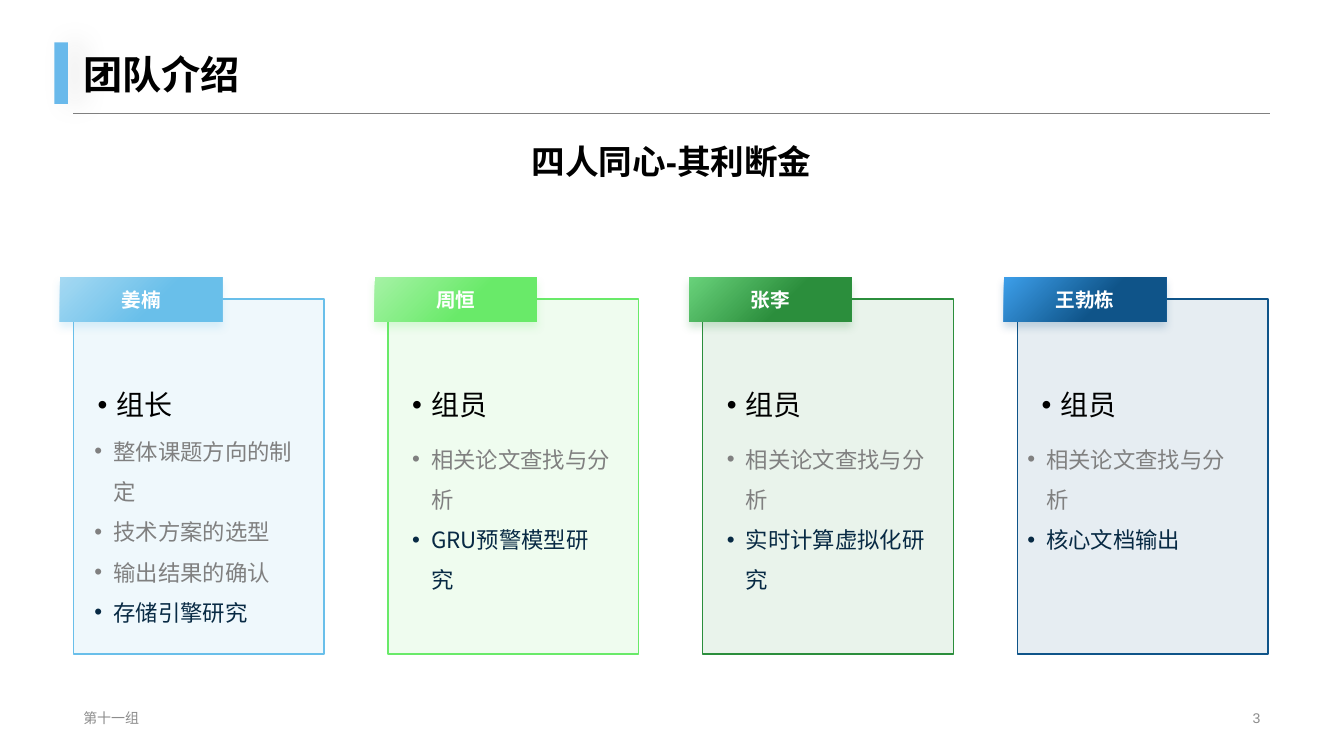
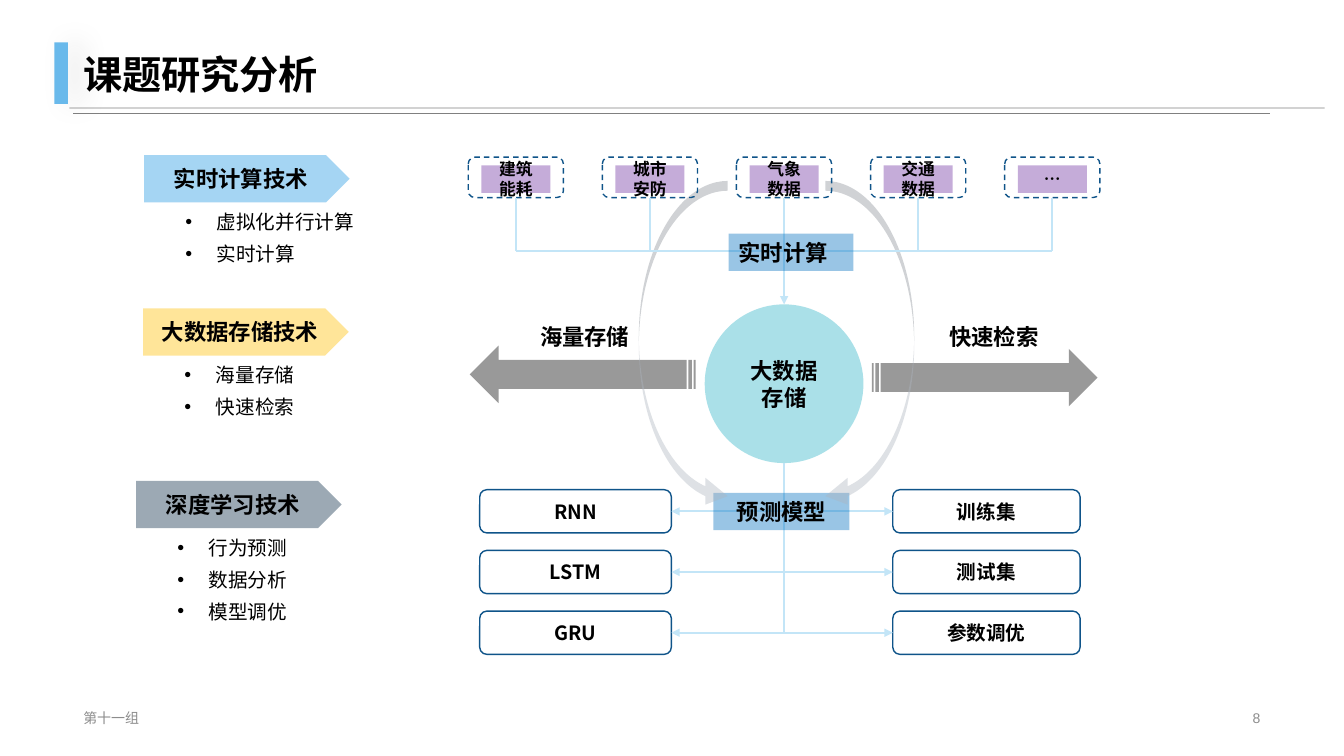
from lxml.etree import SubElement
from pptx import Presentation
from pptx.dml.color import RGBColor
from pptx.enum.dml import MSO_LINE
from pptx.enum.shapes import MSO_CONNECTOR, MSO_SHAPE
from pptx.enum.text import MSO_ANCHOR, PP_ALIGN
from pptx.oxml.ns import qn
from pptx.util import Cm, Pt

CJK = "Noto Sans CJK SC"
BLACK, GREY, FOOTER_GREY = "000000", "808080", "8C8C8C"
NAVY, BLUE, PALE_BLUE = "082A44", "0F5489", "C3E5F7"
LEFT, CENTER, RIGHT = PP_ALIGN.LEFT, PP_ALIGN.CENTER, PP_ALIGN.RIGHT
TOP, MIDDLE, BOTTOM = MSO_ANCHOR.TOP, MSO_ANCHOR.MIDDLE, MSO_ANCHOR.BOTTOM


def paint(fill, color, alpha=100, start=None):
    if start:
        fill.gradient()
        fill.gradient_angle = 315
        for stop, position, shade in zip(fill.gradient_stops, (0, 0.6), (start, color)):
            stop.position = position
            stop.color.rgb = RGBColor.from_string(shade)
        return
    fill.solid()
    fill.fore_color.rgb = RGBColor.from_string(color)
    if alpha < 100:
        solid = fill._xPr.find(qn("a:solidFill"))
        SubElement(solid[0], qn("a:alpha"), val=str(alpha * 1000))


def block(shapes, kind, left, top, width, height, lines=(), size=14, color=BLACK,
          bold=True, align=CENTER, anchor=MIDDLE, font=CJK, spacing=None,
          after=0, hang=None, fill=None, alpha=100, start=None, outline=None, shadow=None):
    area = Cm(left), Cm(top), Cm(width), Cm(height)
    if kind is None:
        shape = shapes.add_textbox(*area)
    else:
        shape = shapes.add_shape(kind, *area)
        shape.shadow.inherit = False
        if fill:
            paint(shape.fill, fill, alpha, start)
        else:
            shape.fill.background()
        if outline:
            paint(shape.line.fill, outline)
            shape.line.width = Pt(1)
        else:
            shape.line.fill.background()
    if shadow:
        shade, opacity, blur, distance, angle = shadow
        effects = shape.element.spPr.find(qn("a:effectLst"))
        outer = SubElement(effects, qn("a:outerShdw"), blurRad=str(Pt(blur)),
                           dist=str(Pt(distance)), dir=str(angle * 60000),
                           algn="ctr", rotWithShape="0")
        tint = SubElement(outer, qn("a:srgbClr"), val=shade)
        SubElement(tint, qn("a:alpha"), val=str(opacity * 1000))
    frame = shape.text_frame
    frame.word_wrap = True
    frame.vertical_anchor = anchor
    if lines:
        frame.text = "\n".join(lines)
    for paragraph in frame.paragraphs:
        paragraph.alignment = align
        paragraph.line_spacing = spacing
        paragraph.space_after = Pt(after)
        if hang:
            properties = paragraph._p.get_or_add_pPr()
            properties.set("marL", str(Cm(hang)))
            properties.set("indent", str(-Cm(hang)))
            SubElement(properties, qn("a:buFont"), typeface="Arial")
            SubElement(properties, qn("a:buChar"), char="•")
        for run in paragraph.runs:
            run.font.size = Pt(size)
            run.font.bold = bold
            run.font.name = font
            paint(run.font.fill, color)
            SubElement(run.font._element, qn("a:ea"), typeface=CJK)
    return shape


prs = Presentation()
prs.slide_width, prs.slide_height = Cm(33.87), Cm(19.05)
slides, strokes = [], []

for title, number in (("团队介绍", "3"), ("课题研究分析", "8")):
    slide = prs.slides.add_slide(prs.slide_layouts[6])
    slides.append(slide)
    title_rule = slide.shapes.add_connector(
        MSO_CONNECTOR.STRAIGHT, Cm(1.85), Cm(2.84), Cm(32), Cm(2.84))
    strokes.append((title_rule, GREY, 0.25, 100, False))
    block(slide.shapes, MSO_SHAPE.RECTANGLE, 1.37, 1.07, 0.34, 1.55,
          fill="69B9EB", shadow=("262626", 10, 20, 10, 0))
    block(slide.shapes, None, 1.85, 0, 30.15, 2.59, [title], size=28,
          align=LEFT, anchor=BOTTOM, font="Arial", spacing=0.9)
    for left, width, text, align in ((1.85, 11.51, "第十一组", LEFT),
                                     (23.93, 8.08, number, RIGHT)):
        block(slide.shapes, None, left, 17.81, width, 0.58, [text], size=10,
              color=FOOTER_GREY, bold=False, align=align, font="Arial")

team, research = slides

block(team.shapes, None, 2.46, 3.43, 28.93, 1.27, ["四人同心-其利断金"],
      size=24, anchor=BOTTOM, font="Arial")

members = [
    ("姜楠", "组长", "69BFEA", "A5D9F2", 0.28, 10.57,
     ["整体课题方向的制定", "技术方案的选型", "输出结果的确认", "存储引擎研究"]),
    ("周恒", "组员", "69EA69", "A5F2A5", 0.36, 10.77,
     ["相关论文查找与分析", "GRU预警模型研究"]),
    ("张李", "组员", "2B8E3C", "69D27B", 0.36, 10.77,
     ["相关论文查找与分析", "实时计算虚拟化研究"]),
    ("王勃栋", "组员", BLUE, "3D9FEA", 0, 10.77,
     ["相关论文查找与分析", "核心文档输出"]),
]
for index, (name, role, color, light, inset, duties_top, duties) in enumerate(members):
    left = 1.85 + 7.93 * index
    card = team.shapes.add_group_shape().shapes
    block(card, MSO_SHAPE.RECTANGLE, left, 7.54, 6.32, 8.94,
          fill=color, alpha=10, outline=color)
    block(card, MSO_SHAPE.RECTANGLE, left - 0.34, 6.99, 4.09, 1.12, [name],
          color="FFFFFF", fill=color, start=light, shadow=(color, 20, 6, 4, 90))
    block(card, None, left + 0.36, 9.22, 5.49, 1.4, [role], size=20, bold=False,
          align=LEFT, anchor=TOP, spacing=1.5, hang=0.48)
    duty_list = block(card, None, left + inset, duties_top, 5.49, 4.24, duties,
                      size=16, color=GREY, bold=False, align=LEFT, anchor=TOP,
                      spacing=1.5, hang=0.48)
    paint(duty_list.text_frame.paragraphs[-1].runs[0].font.fill, NAVY)

shapes = research.shapes
axis = 19.76
storage = block(shapes, MSO_SHAPE.OVAL, axis - 2, 7.67, 4, 4, ["大数据", "存储"],
                size=16, fill="2BB3C6", alpha=40)

model_rows = [("RNN", "训练集"), ("LSTM", "测试集"), ("GRU", "参数调优")]
for index, (model, step) in enumerate(model_rows):
    top = 12.34 + 1.53 * index
    middle = top + 0.545
    for text, left, width, side in ((model, 12.09, 4.83, 3), (step, 22.5, 4.72, 1)):
        target = block(shapes, MSO_SHAPE.ROUNDED_RECTANGLE, left, top, width, 1.09,
                       [text], outline=BLUE)
        branch = shapes.add_connector(
            MSO_CONNECTOR.STRAIGHT, Cm(axis), Cm(middle), Cm(left), Cm(middle))
        branch.end_connect(target, side)
        strokes.append((branch, PALE_BLUE, 1.5, 100, True))
trunk = shapes.add_connector(
    MSO_CONNECTOR.STRAIGHT, Cm(axis), Cm(11.67), Cm(axis), Cm(middle))
strokes.append((trunk, PALE_BLUE, 1.5, 100, False))
block(shapes, MSO_SHAPE.RECTANGLE, 17.98, 12.42, 3.43, 0.94, ["预测模型"],
      size=16, anchor=TOP, fill="0070C0", alpha=40)

topics = [
    ("实时计算技术", 3.63, 3.91, "1E96E1", ["虚拟化并行计算", "实时计算"]),
    ("大数据存储技术", 3.61, 7.77, "FFC000", ["海量存储", "快速检索"]),
    ("深度学习技术", 3.43, 12.12, NAVY, ["行为预测", "数据分析", "模型调优"]),
]
for topic, left, top, color, points in topics:
    topic_group = shapes.add_group_shape().shapes
    block(topic_group, MSO_SHAPE.PENTAGON, left, top, 5.18, 1.19, [topic],
          size=16, fill=color, alpha=40)
    block(topic_group, None, left + 0.79, top + 1.25, 7.34, 0.83 * len(points), points,
          bold=False, align=LEFT, anchor=TOP, after=6, hang=0.79)

for text, text_left, arrow_left, arrow_top, curve_left, mirrored, curve_mirrored in (
        ("海量存储", 13.36, 11.84, 8.71, 16.1, True, False),
        ("快速检索", 23.67, 21.97, 8.79, 20.8, False, True)):
    arrow = block(shapes, MSO_SHAPE.STRIPED_RIGHT_ARROW, arrow_left, arrow_top,
                  5.69, 1.45, fill=BLACK, alpha=40)
    block(shapes, None, text_left, 8.03, 3.15, 0.94, [text], size=16,
          align=LEFT, anchor=TOP)
    curve = block(shapes, MSO_SHAPE.CURVED_RIGHT_ARROW, curve_left, 4.56,
                  2.24, 8.28, fill="ADB5BF", alpha=40)
    for position, value in enumerate((0.11, 0.3, 0.25)):
        curve.adjustments[position] = value
    for shape, flipped in ((arrow, mirrored), (curve, curve_mirrored)):
        if flipped:
            shape.element.spPr.find(qn("a:xfrm")).set("flipH", "1")

feeds = ["建筑能耗", "城市安防", "气象数据", "交通数据", "…"]
centers = [axis + 3.38 * (index - 2) for index in range(len(feeds))]
for feed, center in zip(feeds, centers):
    feed_group = shapes.add_group_shape().shapes
    border = block(feed_group, MSO_SHAPE.ROUNDED_RECTANGLE, center - 1.2, 3.96,
                   2.4, 1.02, outline=BLUE)
    border.line.dash_style = MSO_LINE.DASH
    block(feed_group, MSO_SHAPE.RECTANGLE, center - 0.87, 4.17, 1.74, 0.69, [feed],
          size=12, fill="7030A0", alpha=40)
    drop = shapes.add_connector(
        MSO_CONNECTOR.STRAIGHT, Cm(center), Cm(4.98), Cm(center), Cm(6.32))
    drop.begin_connect(border, 2)
    if center == axis:
        drop.end_connect(storage, 0)
    strokes.append((drop, PALE_BLUE, 1.5, 100, center == axis))
bus = shapes.add_connector(
    MSO_CONNECTOR.STRAIGHT, Cm(centers[0]), Cm(6.32), Cm(centers[-1]), Cm(6.32))
strokes.append((bus, PALE_BLUE, 1.5, 100, False))
block(shapes, MSO_SHAPE.RECTANGLE, 18.36, 5.89, 3.15, 0.94, ["实时计算"],
      size=16, align=LEFT, anchor=TOP, fill="0070C0", alpha=40)

upper_rule = shapes.add_connector(
    MSO_CONNECTOR.STRAIGHT, Cm(1.75), Cm(2.72), Cm(33.38), Cm(2.72))
strokes.append((upper_rule, BLACK, 0.5, 50, False))

for stroke, color, width, alpha, pointed in strokes:
    paint(stroke.line.fill, color, alpha)
    stroke.line.width = Pt(width)
    properties = stroke.element.spPr
    if pointed:
        SubElement(properties.find(qn("a:ln")), qn("a:tailEnd"), type="triangle")
    SubElement(properties, qn("a:effectLst"))

prs.save("out.pptx")
